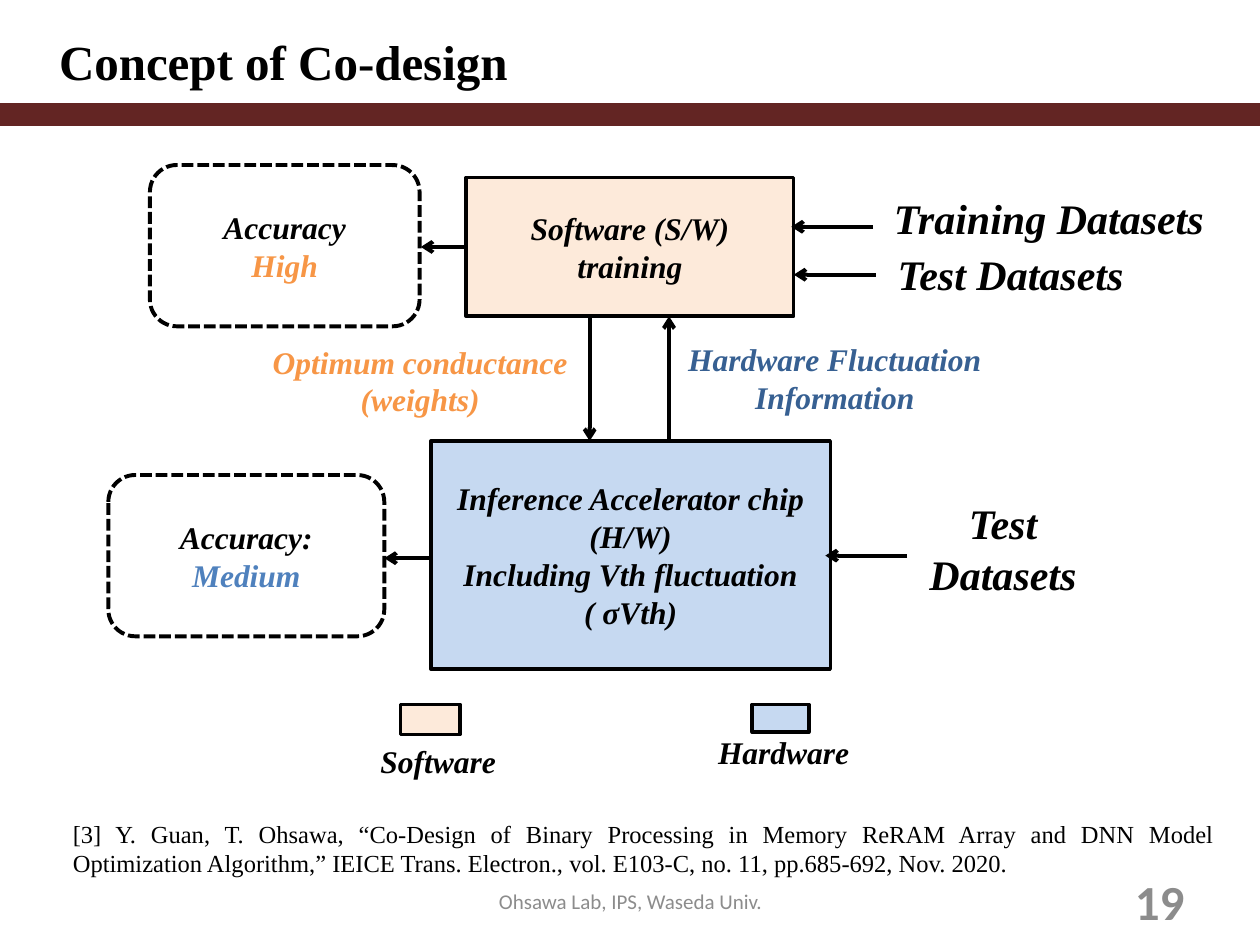
import pptx
import pptx.util
import pptx.dml.color
import pptx.enum.dml
import pptx.enum.shapes
import pptx.enum.text
from lxml import etree
from pptx.util import Inches

COLORS = {
    "black": "000000", "white": "FFFFFF", "grey": "8C8C8C", "band": "632523",
    "software": "FDEADA", "hardware": "C6D9F1",
    "orange": "F79646", "blue": "4F81BD", "dark blue": "376092",
}
SERIF = "Times New Roman"
SHAPE = pptx.enum.shapes.MSO_SHAPE
ALIGN = pptx.enum.text.PP_ALIGN
ANCHOR = pptx.enum.text.MSO_ANCHOR


def rgb(name):
    return pptx.dml.color.RGBColor.from_string(COLORS[name])


def write(shape, lines, size, align=ALIGN.CENTER, anchor=ANCHOR.TOP,
          font=SERIF, bold=True, italic=True):
    """Fill a shape with paragraphs given as (text, color) pairs."""
    frame = shape.text_frame
    frame.word_wrap = True
    frame.vertical_anchor = anchor
    frame.text = "\n".join(text for text, color in lines)
    for paragraph, (text, color) in zip(frame.paragraphs, lines):
        paragraph.alignment = align
        for run in paragraph.runs:
            run.font.name = font
            run.font.size = pptx.util.Pt(size)
            run.font.bold = bold
            run.font.italic = italic
            run.font.color.rgb = rgb(color)


def add_label(slide, box, text, size=18, color="black", **style):
    label = slide.shapes.add_textbox(*map(Inches, box))
    write(label, [(text, color)], size, **style)
    return label


def add_block(slide, box, fill, line="black", lines=()):
    block = slide.shapes.add_shape(SHAPE.RECTANGLE, *map(Inches, box))
    block.shadow.inherit = False
    block.fill.solid()
    block.fill.fore_color.rgb = rgb(fill)
    block.line.color.rgb = rgb(line)
    block.line.width = pptx.util.Pt(2)
    if lines:
        write(block, [(text, "black") for text in lines], 18, anchor=ANCHOR.MIDDLE)


def add_accuracy(slide, box, heading, level, color):
    result = slide.shapes.add_shape(SHAPE.ROUNDED_RECTANGLE, *map(Inches, box))
    result.shadow.inherit = False
    result.fill.solid()
    result.fill.fore_color.rgb = rgb("white")
    result.line.color.rgb = rgb("black")
    result.line.width = pptx.util.Pt(2.25)
    result.line.dash_style = pptx.enum.dml.MSO_LINE.SQUARE_DOT
    write(result, [(heading, "black"), (level, color)], 18, anchor=ANCHOR.MIDDLE)


def add_arrow(slide, start, end):
    arrow = slide.shapes.add_connector(
        pptx.enum.shapes.MSO_CONNECTOR.STRAIGHT, *map(Inches, start + end))
    arrow.line.color.rgb = rgb("black")
    arrow.line.width = pptx.util.Pt(2.25)
    namespace = pptx.oxml.ns.qn
    etree.SubElement(arrow.line._get_or_add_ln(), namespace("a:tailEnd"), type="arrow")
    etree.SubElement(arrow._element.spPr, namespace("a:effectLst"))


def add_frame(slide):
    """Title, band, footer and page number."""
    add_label(slide, (0.37, 0.2, 8.49, 0.57), "Concept of Co-design", 28,
              align=ALIGN.LEFT, italic=False)
    add_block(slide, (0, 0.83, 10, 0.16), "band", "band")
    footer = dict(color="grey", font="Calibri", italic=False, anchor=ANCHOR.MIDDLE)
    add_label(slide, (3.42, 6.95, 3.17, 0.4), "Ohsawa Lab, IPS, Waseda Univ.", 12,
              bold=False, **footer)
    add_label(slide, (7.17, 6.95, 2.33, 0.4), "19", 28, align=ALIGN.RIGHT, **footer)


def add_diagram(slide):
    add_block(slide, (3.7, 1.41, 2.6, 1.1), "software",
              lines=["Software (S/W)", "training"])
    add_block(slide, (3.42, 3.5, 3.17, 1.81), "hardware",
              lines=["Inference Accelerator chip (H/W)",
                     "Including Vth fluctuation ( σVth)"])
    add_accuracy(slide, (1.19, 1.31, 2.14, 1.28), "Accuracy", "High", "orange")
    add_accuracy(slide, (0.86, 3.77, 2.19, 1.28), "Accuracy:", "Medium", "blue")

    add_label(slide, (1.95, 2.67, 2.77, 0.71), "Optimum conductance (weights)",
              color="orange")
    add_label(slide, (5.24, 2.65, 2.77, 0.71), "Hardware Fluctuation Information",
              color="dark blue")
    add_label(slide, (6.86, 1.48, 2.93, 0.5), "Training Datasets", 24)
    add_label(slide, (6.76, 1.92, 2.52, 0.5), "Test Datasets", 24)
    add_label(slide, (7.07, 3.9, 1.78, 0.91), "Test Datasets", 24)

    for start, end in [
        ((4.68, 2.51), (4.68, 3.5)),
        ((5.31, 3.5), (5.31, 2.51)),
        ((6.93, 1.8), (6.28, 1.8)),
        ((6.95, 2.18), (6.3, 2.18)),
        ((7.2, 4.41), (6.55, 4.41)),
        ((3.7, 1.96), (3.34, 1.96)),
        ((3.42, 4.43), (3.05, 4.43)),
    ]:
        add_arrow(slide, start, end)


def add_legend(slide):
    add_block(slide, (3.18, 5.59, 0.47, 0.24), "software")
    add_block(slide, (5.97, 5.59, 0.45, 0.22), "hardware")
    add_label(slide, (2.92, 5.84, 1.45, 0.4), "Software", align=ALIGN.LEFT)
    add_label(slide, (5.6, 5.77, 1.45, 0.4), "Hardware", align=ALIGN.LEFT)


def add_reference(slide):
    reference = add_label(
        slide, (0.48, 6.45, 9.26, 0.57),
        "[3] Y. Guan, T. Ohsawa, “Co-Design of Binary Processing in Memory ReRAM "
        "Array and DNN Model Optimization Algorithm,” IEICE Trans. Electron., "
        "vol. E103-C, no. 11, pp.685-692, Nov. 2020.",
        14, align=ALIGN.JUSTIFY, bold=False, italic=False)
    reference.text_frame.paragraphs[0].space_after = pptx.util.Pt(3)


def main():
    deck = pptx.Presentation()
    deck.slide_width, deck.slide_height = Inches(10), Inches(7.5)
    slide = deck.slides.add_slide(deck.slide_layouts[6])
    add_frame(slide)
    add_diagram(slide)
    add_legend(slide)
    add_reference(slide)
    deck.save("out.pptx")


if __name__ == "__main__":
    main()
